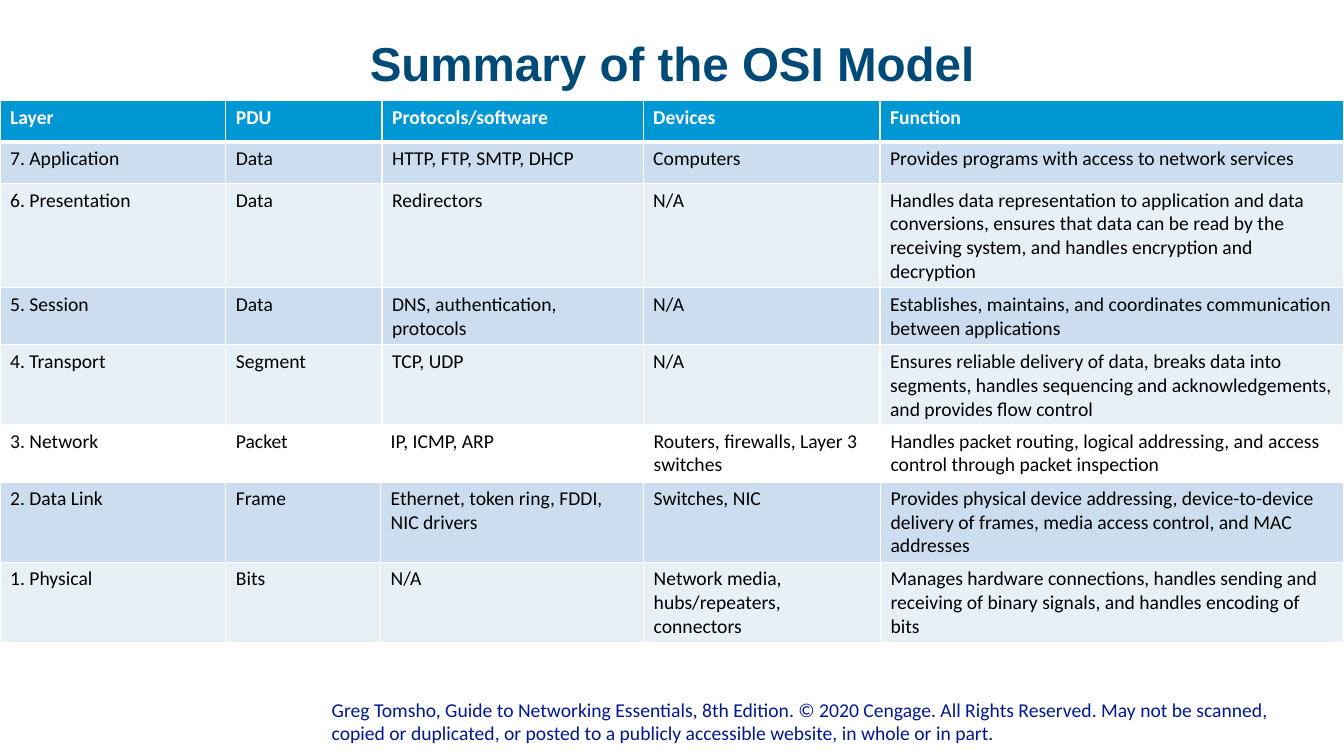
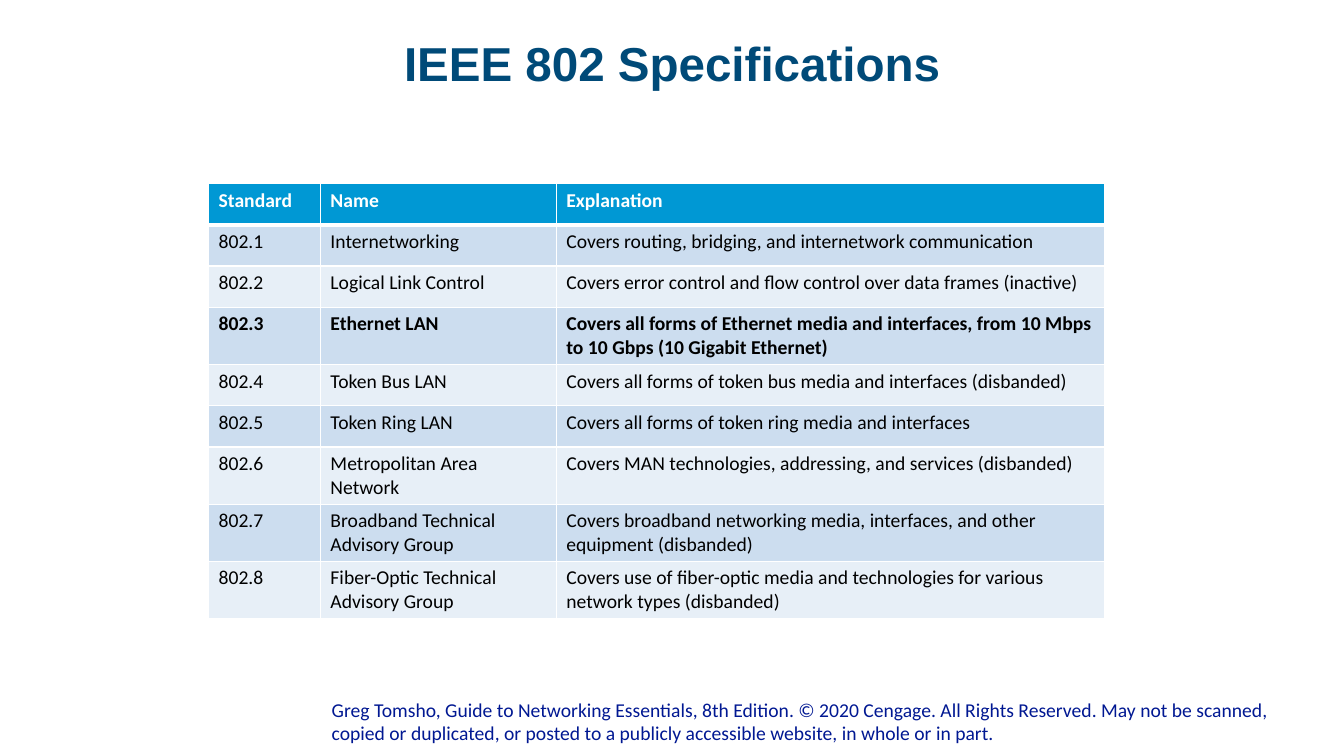
"""Build two networking slides: a summary of the OSI model and the IEEE 802 specifications."""
from lxml import etree
from pptx import Presentation
from pptx.dml.color import RGBColor
from pptx.enum.text import MSO_ANCHOR, PP_ALIGN
from pptx.oxml.ns import qn
from pptx.util import Pt

TOP, BOTTOM = MSO_ANCHOR.TOP, MSO_ANCHOR.BOTTOM
CENTER = PP_ALIGN.CENTER

NAVY, FOOTER_BLUE = "004A78", "011892"
HEADER_BLUE, BAND_DARK, BAND_LIGHT = "0098D4", "CCDDEF", "E7EFF7"
WHITE, BLACK = "FFFFFF", "000000"
TITLE_FONT, BODY_FONT = "Arial", "Calibri"
ROW_HEIGHT = 29.5

FOOTER = (
    "Greg Tomsho, Guide to Networking Essentials, 8th Edition. © 2020 Cengage. "
    "All Rights Reserved. May not be scanned, copied or duplicated, or posted to "
    "a publicly accessible website, in whole or in part."
)

OSI_UPPER = [
    ("Layer", "PDU", "Protocols/software", "Devices", "Function"),
    ("7. Application", "Data", "HTTP, FTP, SMTP, DHCP", "Computers",
     "Provides programs with access to network services"),
    ("6. Presentation", "Data", "Redirectors", "N/A",
     "Handles data representation to application and data conversions, ensures that data "
     "can be read by the receiving system, and handles encryption and decryption"),
    ("5. Session", "Data", "DNS, authentication, protocols", "N/A",
     "Establishes, maintains, and coordinates communication between applications"),
    ("4. Transport", "Segment", "TCP, UDP", "N/A",
     "Ensures reliable delivery of data, breaks data into segments, handles sequencing "
     "and acknowledgements, and provides flow control"),
]
OSI_LOWER = [
    ("3. Network", "Packet", "IP, ICMP, ARP", "Routers, firewalls, Layer 3 switches",
     "Handles packet routing, logical addressing, and access control through packet inspection"),
    ("2. Data Link", "Frame", "Ethernet, token ring, FDDI, NIC drivers", "Switches, NIC",
     "Provides physical device addressing, device-to-device delivery of frames, "
     "media access control, and MAC addresses"),
    ("1. Physical", "Bits", "N/A", "Network media, hubs/repeaters, connectors",
     "Manages hardware connections, handles sending and receiving of binary signals, "
     "and handles encoding of bits"),
]
IEEE_802 = [
    ("Standard", "Name", "Explanation"),
    ("802.1", "Internetworking", "Covers routing, bridging, and internetwork communication"),
    ("802.2", "Logical Link Control",
     "Covers error control and flow control over data frames (inactive)"),
    ("802.3", "Ethernet LAN",
     "Covers all forms of Ethernet media and interfaces, from 10 Mbps to 10 Gbps "
     "(10 Gigabit Ethernet)"),
    ("802.4", "Token Bus LAN", "Covers all forms of token bus media and interfaces (disbanded)"),
    ("802.5", "Token Ring LAN", "Covers all forms of token ring media and interfaces"),
    ("802.6", "Metropolitan Area Network",
     "Covers MAN technologies, addressing, and services (disbanded)"),
    ("802.7", "Broadband Technical Advisory Group",
     "Covers broadband networking media, interfaces, and other equipment (disbanded)"),
    ("802.8", "Fiber-Optic Technical Advisory Group",
     "Covers use of fiber-optic media and technologies for various network types (disbanded)"),
]

SLIDES = [
    ("Summary of the OSI Model", [
        dict(rows=OSI_UPPER, left=0, top=72, height=231.1,
             widths=(161.3, 111.6, 186.5, 169.2, 331.4)),
        dict(rows=OSI_LOWER, left=0, top=303.1, height=156.2,
             widths=(161.3, 110.6, 187.9, 169.2, 331), header=False),
    ]),
    ("IEEE 802 Specifications", [
        dict(rows=IEEE_802, left=149, top=131, height=308.9,
             widths=(79.9, 168.5, 391.7), bold_rows=(3,)),
    ]),
]


def rgb(value):
    return RGBColor.from_string(value)


def add_run(p, text, size, font, color, bold=False):
    r = p.add_run()
    r.text = text
    r.font.size, r.font.name, r.font.bold = Pt(size), font, bold
    r.font.color.rgb = rgb(color)


def set_insets(tf, bottom=0):
    tf.margin_left = tf.margin_top = tf.margin_right = 0
    tf.margin_bottom = Pt(bottom)


def add_title(s, text):
    title = s.shapes.title
    title.left, title.top, title.width, title.height = Pt(66.2), Pt(28.8), Pt(828), Pt(53.3)
    tf = title.text_frame
    set_insets(tf)
    tf.vertical_anchor = TOP
    p = tf.paragraphs[0]
    p.alignment, p.line_spacing = CENTER, 0.9
    add_run(p, text, 34, TITLE_FONT, NAVY, bold=True)


def add_footer(s):
    tf = s.shapes.add_textbox(Pt(236.9), Pt(498.2), Pt(704.9), Pt(37.4)).text_frame
    set_insets(tf, bottom=3.6)
    tf.word_wrap, tf.vertical_anchor = True, BOTTOM
    add_run(tf.paragraphs[0], FOOTER, 14, BODY_FONT, FOOTER_BLUE)


def set_borders(cell, bottom):
    tc_pr = cell._tc.get_or_add_tcPr()
    for i, (side, width) in enumerate((("lnL", 1), ("lnR", 1), ("lnT", 1), ("lnB", bottom))):
        ln = etree.Element(qn(f"a:{side}"), w=str(Pt(width)))
        fill = etree.SubElement(ln, qn("a:solidFill"))
        etree.SubElement(fill, qn("a:srgbClr"), val=WHITE)
        tc_pr.insert(i, ln)


def add_table(s, rows, left, top, height, widths, header=True, bold_rows=()):
    frame = s.shapes.add_table(len(rows), len(widths), Pt(left), Pt(top),
                               Pt(sum(widths)), Pt(height))
    table = frame.table
    table.first_row, table.horz_banding = header, False
    for column, width in zip(table.columns, widths):
        column.width = Pt(width)
    for i, row in enumerate(rows):
        table.rows[i].height = Pt(ROW_HEIGHT)
        is_header = header and i == 0
        for j, text in enumerate(row):
            cell = table.cell(i, j)
            if i == 0 and not header:
                cell.fill.background()
            else:
                cell.fill.solid()
                band = BAND_DARK if i % 2 else BAND_LIGHT
                cell.fill.fore_color.rgb = rgb(HEADER_BLUE if is_header else band)
            set_borders(cell, bottom=3 if i == 0 else 1)
            add_run(cell.text_frame.paragraphs[0], text, 14, BODY_FONT,
                    WHITE if is_header else BLACK, bold=is_header or i in bold_rows)
    frame.height = Pt(height)


def main():
    prs = Presentation()
    prs.slide_width, prs.slide_height = Pt(960), Pt(540)
    for title, tables in SLIDES:
        s = prs.slides.add_slide(prs.slide_layouts[5])
        add_footer(s)
        add_title(s, title)
        for table in tables:
            add_table(s, **table)
    prs.save("out.pptx")


if __name__ == "__main__":
    main()
